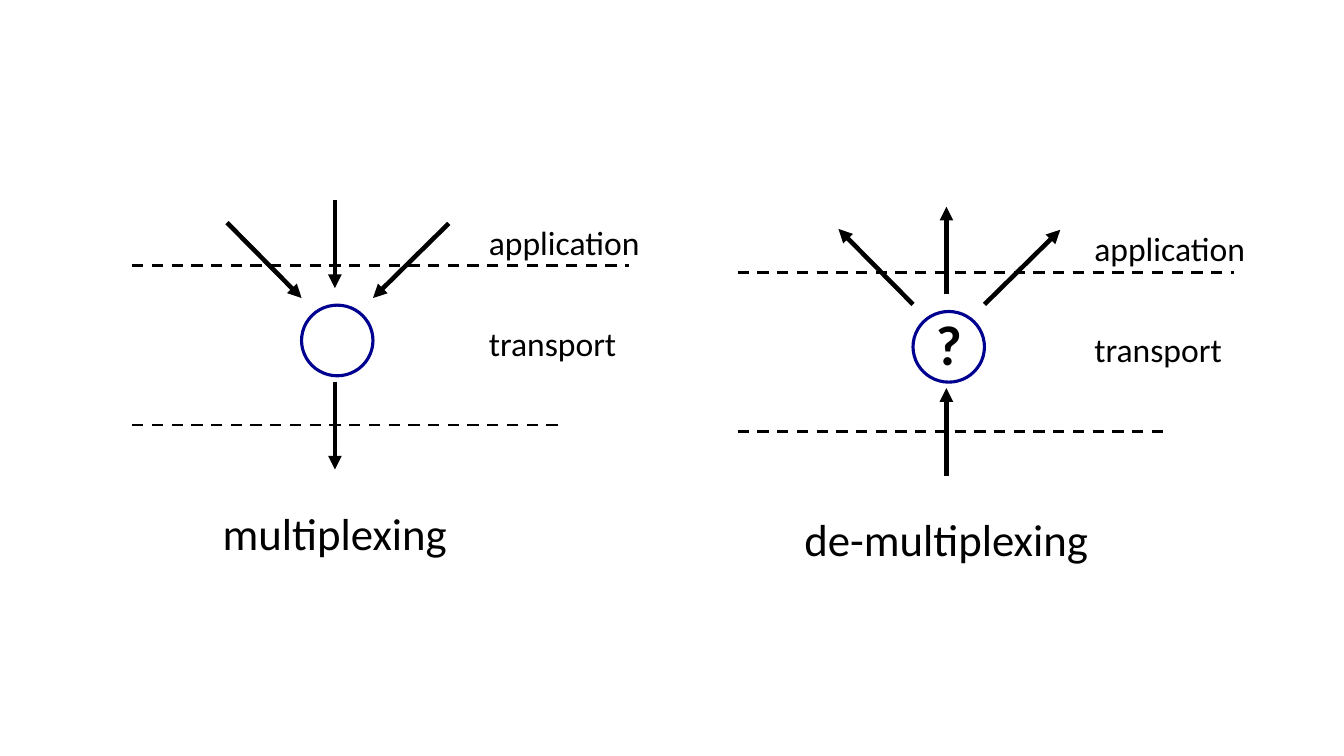
from lxml import etree
from pptx import Presentation
from pptx.dml.color import RGBColor
from pptx.enum.dml import MSO_LINE
from pptx.enum.shapes import MSO_CONNECTOR, MSO_SHAPE
from pptx.enum.text import MSO_AUTO_SIZE, PP_ALIGN
from pptx.oxml.ns import qn
from pptx.util import Cm, Pt

FONT = "Calibri"
BLACK, WHITE, NAVY = "000000", "FFFFFF", "000090"
HUB_W, HUB_H = 1.8, 1.78
AXIS = 0.84  # vertical arrows and caption, from the hub's left edge


def rgb(color):
    return RGBColor.from_string(color)


def add_text(shapes, text, x, y, w, h, size, bold=False, align=PP_ALIGN.LEFT):
    s = shapes.add_textbox(Cm(x), Cm(y), Cm(w), Cm(h))
    tf = s.text_frame
    tf.word_wrap = False
    tf.auto_size = MSO_AUTO_SIZE.SHAPE_TO_FIT_TEXT
    p = tf.paragraphs[0]
    p.alignment = align
    r = p.add_run()
    r.text = text
    r.font.name = FONT
    r.font.size = Pt(size)
    r.font.bold = bold
    r.font.color.rgb = rgb(BLACK)


def add_line(shapes, start, end, width):
    x1, y1, x2, y2 = (Cm(v) for v in (*start, *end))
    s = shapes.add_connector(MSO_CONNECTOR.STRAIGHT, x1, y1, x2, y2)
    s.line.color.rgb = rgb(BLACK)
    s.line.width = Pt(width)
    etree.SubElement(s.element.spPr, qn("a:effectLst"))
    return s


def add_arrow(shapes, start, end, head_at):
    """Put the arrowhead at the start (headEnd) or at the end (tailEnd)."""
    s = add_line(shapes, start, end, 3.25)
    ln = s.line._get_or_add_ln()
    etree.SubElement(ln, qn("a:" + head_at), type="triangle")


def add_hub(shapes, x, y, head_at, mark):
    """Draw the circle, its four arrows and an optional mark inside."""
    s = shapes.add_shape(MSO_SHAPE.OVAL, Cm(x), Cm(y + 2.64), Cm(HUB_W), Cm(HUB_H))
    s.shadow.inherit = False
    s.fill.solid()
    s.fill.fore_color.rgb = rgb(WHITE)
    s.line.color.rgb = rgb(NAVY)
    s.line.width = Pt(2.25)
    arrows = [
        ((AXIS, 6.78), (AXIS, 4.57)),
        ((0, 2.46), (-1.88, 0.56)),
        ((HUB_W, 2.46), (3.71, 0.58)),
        ((AXIS, 2.21), (AXIS, 0)),
    ]
    for (x1, y1), (x2, y2) in arrows:
        add_arrow(shapes, (x + x1, y + y1), (x + x2, y + y2), head_at)
    if mark:
        w = 1.17
        add_text(shapes, mark, x + (HUB_W - w) / 2, y + 2.46, w, 1.96, 40,
                 bold=True, align=PP_ALIGN.CENTER)


def add_layers(shapes, x, y):
    """Draw the dashed layer borders and the layer names."""
    group = shapes.add_group_shape().shapes
    for dy, length in ((5.66, 10.92), (1.65, 12.52)):
        s = add_line(group, (x, y + dy), (x + length, y + dy), 2)
        s.line.dash_style = MSO_LINE.DASH
    for name, dy, w in (("transport", 2.95, 3.78), ("application", 0.41, 4.37)):
        add_text(group, name, x + 8.74, y + dy, w, 1.27, 24)


def add_panel(shapes, x, y, hub_dx, caption, caption_w, head_at, mark=None):
    hub_x = x + hub_dx
    add_hub(shapes, hub_x, y, head_at, mark)
    add_text(shapes, caption, hub_x + AXIS - caption_w / 2, y + 7.57,
             caption_w, 1.63, 32, align=PP_ALIGN.CENTER)
    add_layers(shapes, x, y)


def main():
    prs = Presentation()
    prs.slide_width, prs.slide_height = Cm(33.87), Cm(19.05)
    shapes = prs.slides.add_slide(prs.slide_layouts[6]).shapes
    add_panel(shapes, 18.59, 5.21, 4.42, "de-multiplexing", 7.75, "tailEnd", "?")
    add_panel(shapes, 3.33, 5.05, 4.27, "multiplexing", 6.25, "headEnd")
    prs.save("out.pptx")


if __name__ == "__main__":
    main()
